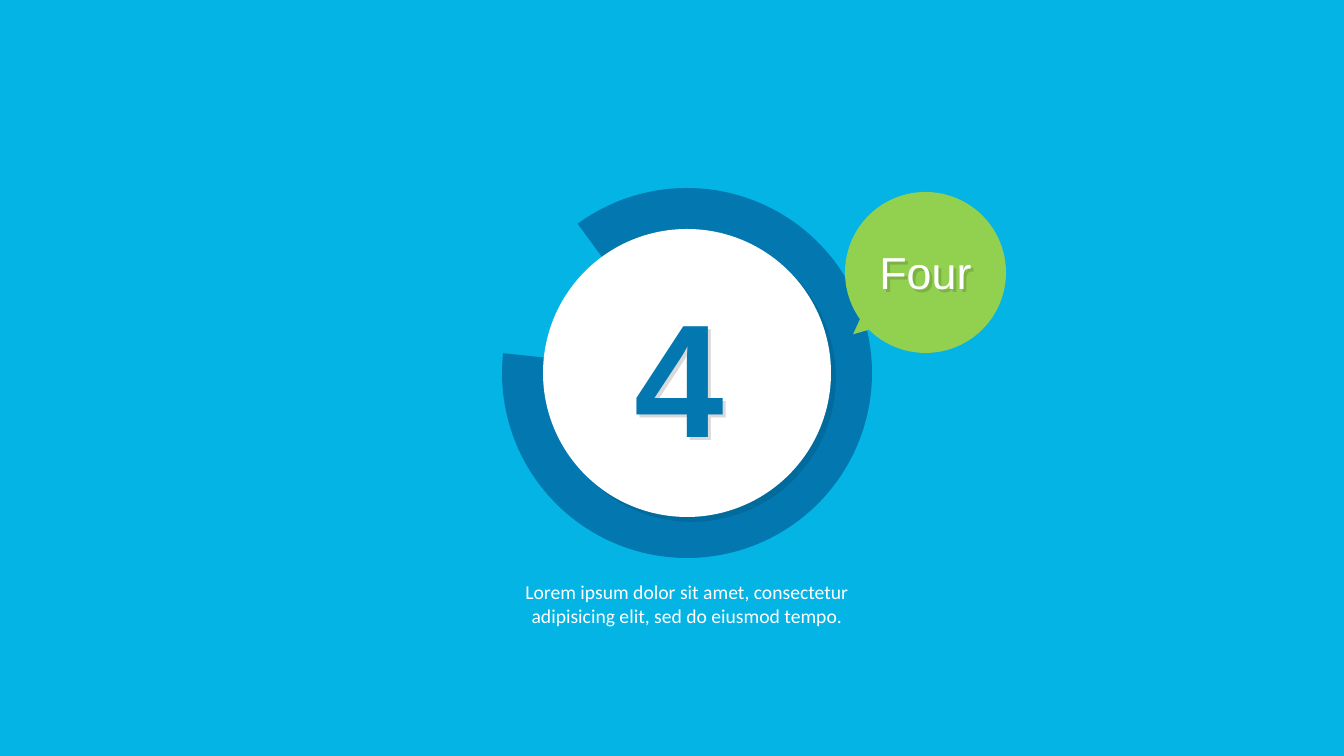
import pptx
import pptx.dml.color
import pptx.enum.shapes
import pptx.enum.text
import pptx.oxml
import pptx.oxml.ns
import pptx.util
from lxml import etree

EMU_PER_PX = 914400 / 100.8
SKY, BLUE, GREEN, WHITE = "04B4E5", "0378B0", "92D050", "FFFFFF"
SHAPES = pptx.enum.shapes.MSO_SHAPE
ALIGN = pptx.enum.text.PP_ALIGN


def px(length):
    return pptx.util.Emu(round(length * EMU_PER_PX))


def color(hex_string):
    return pptx.dml.color.RGBColor.from_string(hex_string)


def add_shadow(shape, points, opacity):
    """Give the shape a hard black shadow towards the lower right."""
    shape.shadow.inherit = False
    effects = shape.element.spPr.find(pptx.oxml.ns.qn("a:effectLst"))
    distance = pptx.util.Pt(points)
    effects.append(etree.fromstring(
        f'<a:outerShdw {pptx.oxml.ns.nsdecls("a")} blurRad="0" dist="{distance}" '
        'dir="2700000" algn="tl" rotWithShape="0"><a:srgbClr val="000000">'
        f'<a:alpha val="{opacity * 1000}"/></a:srgbClr></a:outerShdw>'))


def add_shape(parent, kind, left, top, width, height, fill, rotation=0):
    shape = parent.shapes.add_shape(kind, px(left), px(top), px(width), px(height))
    shape.shadow.inherit = False
    shape.fill.solid()
    shape.fill.fore_color.rgb = color(fill)
    shape.line.fill.background()
    shape.rotation = rotation
    return shape


def add_text(page, text, left, top, width, height, *, size, font, ink,
             bold=False, align=ALIGN.LEFT, wrap=False, margins=None, space_after=0):
    box = page.shapes.add_textbox(px(left), px(top), px(width), px(height))
    frame = box.text_frame
    frame.word_wrap = wrap
    frame.auto_size = pptx.enum.text.MSO_AUTO_SIZE.SHAPE_TO_FIT_TEXT
    if margins:
        side, edge = margins
        frame.margin_left = frame.margin_right = px(side)
        frame.margin_top = frame.margin_bottom = px(edge)
    para = frame.paragraphs[0]
    para.alignment = align
    para.space_after = pptx.util.Pt(space_after)
    span = para.add_run()
    span.text = text
    span.font.size = pptx.util.Pt(size)
    span.font.name = font
    span.font.bold = bold
    span.font.color.rgb = color(ink)
    return box


def main():
    deck = pptx.Presentation()
    deck.slide_width, deck.slide_height = px(1344), px(756)
    page = deck.slides.add_slide(deck.slide_layouts[6])
    page.background.fill.solid()
    page.background.fill.fore_color.rgb = color(SKY)

    # Open ring around the white disc
    ring = add_shape(page, SHAPES.BLOCK_ARC, 502, 188, 370, 370, BLUE)
    for index, value in enumerate((140.26, 111.69, 0.16)):
        ring.adjustments[index] = value
    disc = add_shape(page, SHAPES.OVAL, 543, 229, 288, 288, WHITE)
    add_shadow(disc, points=5, opacity=10)
    number = add_text(page, "4", 625, 272, 111, 206,
                      size=115, font="Arial", ink=BLUE, bold=True)
    add_shadow(number, points=3, opacity=15)

    # Speech bubble with its tail
    bubble = page.shapes.add_group_shape()
    add_shape(bubble, SHAPES.OVAL, 845, 192, 161, 161, GREEN, rotation=49.1)
    add_shape(bubble, SHAPES.ISOSCELES_TRIANGLE, 848, 283, 57, 62, GREEN, rotation=229.1)
    label = add_text(page, "Four", 869, 240, 113, 65,
                     size=32, font="Arial", ink=WHITE, align=ALIGN.CENTER)
    add_shadow(label, points=3, opacity=15)

    # Caption below the ring
    add_text(page, "Lorem ipsum dolor sit amet, consectetur adipisicing elit, "
             "sed do eiusmod tempo.", 513, 576, 348, 54, size=14, font="Calibri",
             ink=WHITE, align=ALIGN.CENTER, wrap=True, margins=(8, 4), space_after=6)

    deck.save("out.pptx")


if __name__ == "__main__":
    main()
